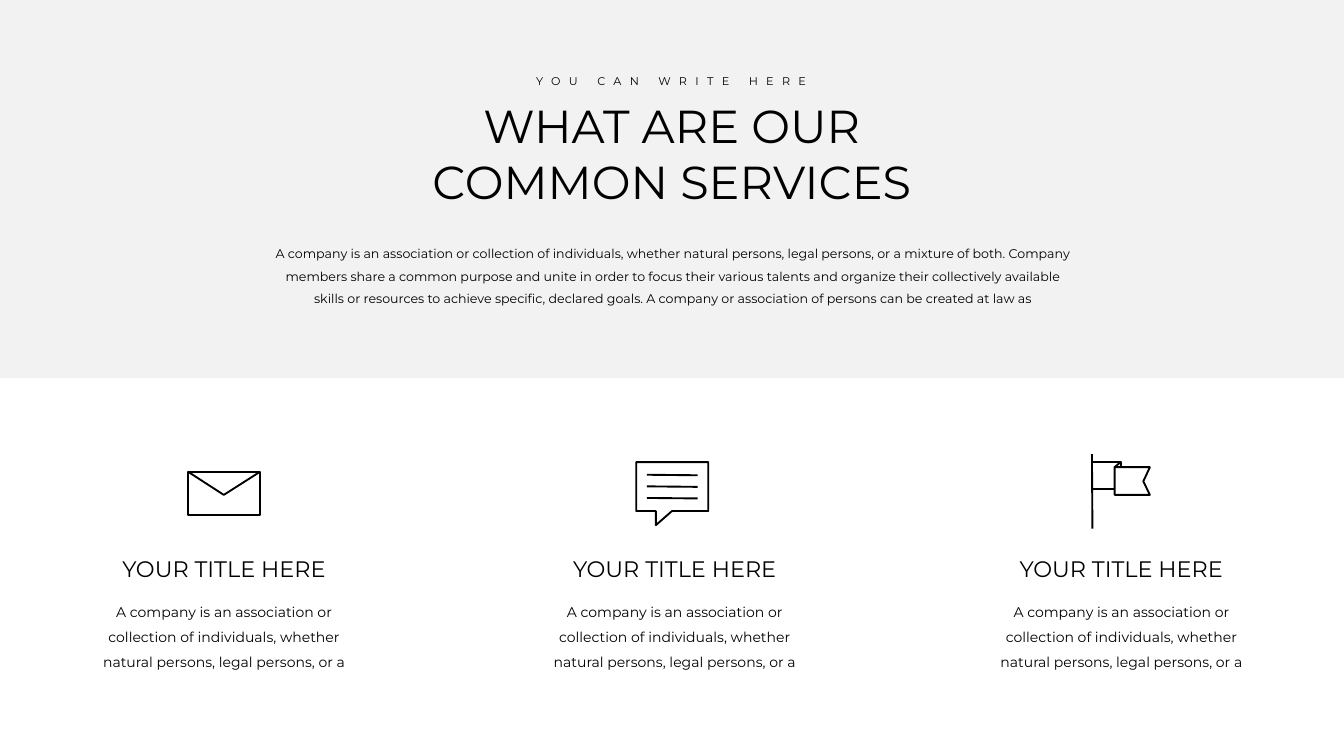
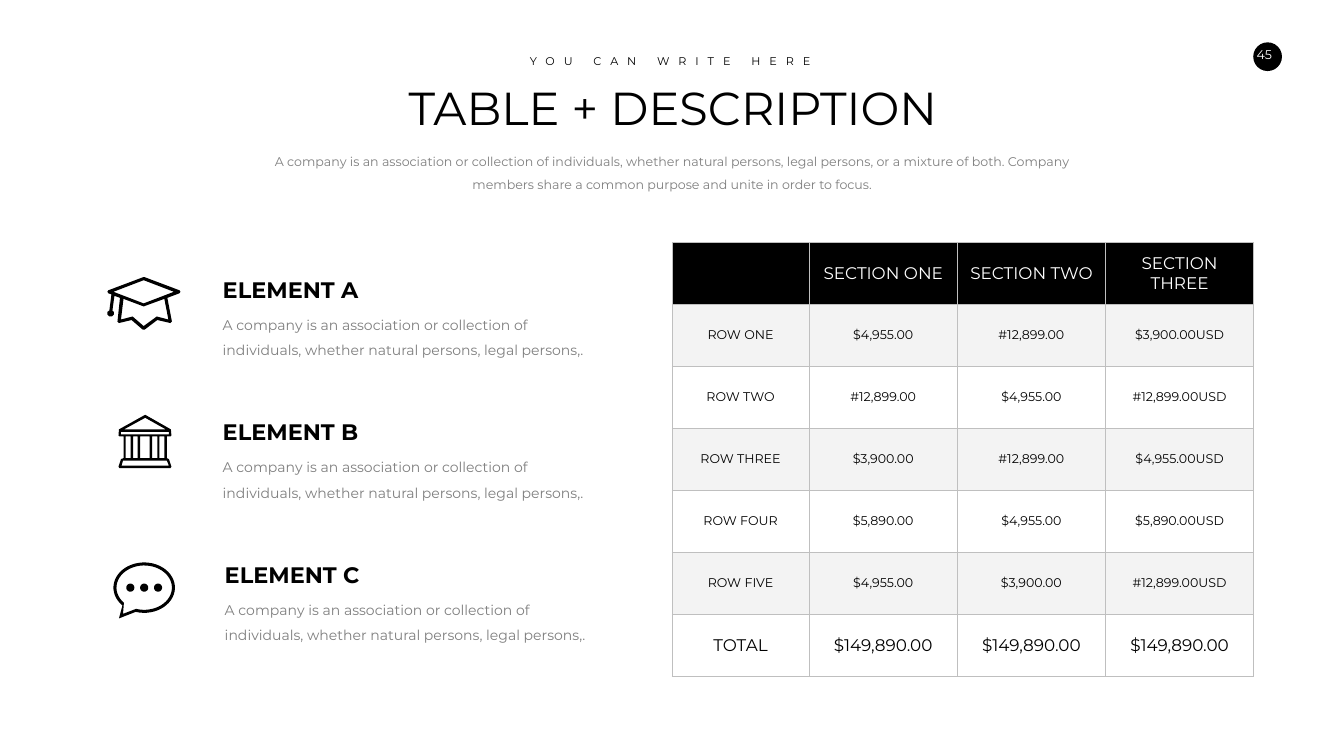
from dataclasses import dataclass
from math import cos, radians, sin
from typing import NamedTuple

from lxml import etree
from pptx import Presentation
from pptx.dml.color import RGBColor
from pptx.enum.shapes import MSO_CONNECTOR, MSO_SHAPE
from pptx.enum.text import MSO_ANCHOR, MSO_AUTO_SIZE, PP_ALIGN
from pptx.oxml.ns import qn
from pptx.util import Cm, Pt

LEFT, MID = PP_ALIGN.LEFT, PP_ALIGN.CENTER
TOP, CENTRE = MSO_ANCHOR.TOP, MSO_ANCHOR.MIDDLE
NO_FIT = MSO_AUTO_SIZE.NONE
RECT, OVAL = MSO_SHAPE.RECTANGLE, MSO_SHAPE.OVAL
STRAIGHT = MSO_CONNECTOR.STRAIGHT

BLACK, WHITE, PALE, BAND = "000000", "FFFFFF", "F3F3F3", "F2F2F2"
GREY, RULE = "7F7F7F", "BFBFBF"
STROKE = Pt(2.7)
Points = list[tuple[float, float]]


class Box(NamedTuple):
    left: float
    top: float
    width: float
    height: float


@dataclass(frozen=True)
class Style:
    points: float
    colour: str = BLACK
    align: PP_ALIGN = MID
    lead: float = 1.0
    bold: bool = False
    track: int = 0  # hundredths of a point


@dataclass(frozen=True)
class Head:
    """Kicker, title and intro at the top of a slide."""
    kick_box: Box
    track: int
    title_box: Box
    title: str
    intro_box: Box
    intro: str
    colour: str
    fill: str | None = None


HEADING = Style(66)
LABEL = Style(32)
NAME = Style(32, align=LEFT, bold=True)
COPY = Style(20, lead=1.5)
NOTE = Style(20, GREY, LEFT, 1.5)
KICKER = "YOU CAN WRITE HERE"
STEM = "A company is an association or collection of individuals, whether natural persons, legal persons,"
MIXED = STEM + " or a mixture of both. Company members share a common purpose and unite in order to focus"


# Basics
def size(inches: float) -> Cm:
    return Cm(inches * 2.54)


def place(box: Box) -> list[Cm]:
    return [size(part) for part in box]


def rgb(code: str) -> RGBColor:
    return RGBColor.from_string(code)


def paint(item, code: str) -> None:
    item.fill.solid()
    item.fill.fore_color.rgb = rgb(code)


def apply(target, values: dict) -> None:
    for key, value in values.items():
        setattr(target, key, value)


def write(frame, text: str, style: Style) -> None:
    """Fill a text frame, one paragraph for each line."""
    for index, line in enumerate(text.split("\n")):
        para = frame.add_paragraph() if index else frame.paragraphs[0]
        apply(para, {"alignment": style.align, "line_spacing": style.lead,
                     "space_before": Pt(0)})
        props = para._p.get_or_add_pPr()
        props.set("marL", "0")
        props.set("indent", "0")
        etree.SubElement(props, qn("a:buNone"))
        run = para.add_run()
        run.text = line
        apply(run.font, {"name": "Montserrat", "size": Pt(style.points), "bold": style.bold})
        run.font.color.rgb = rgb(style.colour)
        if style.track:
            run._r.get_or_add_rPr().set("spc", str(style.track))


def set_text(shape, box: Box, text: str, style: Style, fill: str | None = None) -> None:
    apply(shape, dict(zip(("left", "top", "width", "height"), place(box))))
    apply(shape.text_frame, {
        "word_wrap": True, "auto_size": NO_FIT, "vertical_anchor": TOP,
        "margin_left": size(.1), "margin_right": size(.1),
        "margin_top": size(.05), "margin_bottom": size(.05)})
    if fill:
        paint(shape, fill)
    write(shape.text_frame, text, style)


def add_text(slide, box: Box, text: str, style: Style, fill: str | None = None) -> None:
    set_text(slide.shapes.add_textbox(*place(box)), box, text, style, fill)


def add_solid(slide, kind: MSO_SHAPE, box: Box, code: str):
    shape = slide.shapes.add_shape(kind, *place(box))
    shape.shadow.inherit = False
    paint(shape, code)
    shape.line.fill.background()
    return shape


def add_head(slide, head: Head) -> None:
    title, intro = slide.placeholders
    set_text(title, head.title_box, head.title, HEADING, head.fill)
    set_text(intro, head.intro_box, head.intro, Style(18, head.colour, lead=1.5), head.fill)
    add_text(slide, head.kick_box, KICKER, Style(16, track=head.track), head.fill)


# Icons
def add_path(slide, loops: list[Points], closed: bool):
    first = loops[0][0]
    pen = slide.shapes.build_freeform(size(first[0]), size(first[1]))
    for loop in loops:
        spots = [(size(x), size(y)) for x, y in loop]
        pen.move_to(*spots[0])
        pen.add_line_segments(spots[1:], close=closed)
    shape = pen.convert_to_shape()
    shape.shadow.inherit = False
    return shape


def add_outline(slide, points: Points) -> None:
    shape = add_path(slide, [points], points[0] == points[-1])
    shape.fill.background()
    shape.line.color.rgb = rgb(BLACK)
    shape.line.width = STROKE


def add_icon(slide, loops: list[Points]) -> None:
    shape = add_path(slide, loops, True)
    paint(shape, BLACK)
    shape.line.fill.background()


def add_line(slide, x: float, y: float, end_x: float, end_y: float) -> None:
    line = slide.shapes.add_connector(STRAIGHT, size(x), size(y), size(end_x), size(end_y))
    line.line.color.rgb = rgb(BLACK)
    line.line.width = STROKE
    etree.SubElement(line._element.spPr, qn("a:effectLst"))


def frame(left: float, top: float, right: float, low: float) -> Points:
    return [(left, top), (right, top), (right, low), (left, low)]


def arc(x: float, y: float, wide: float, high: float, start: int = 0, stop: int = 360) -> Points:
    turns = [radians(start + (stop - start) * step / 48) for step in range(49)]
    return [(x + wide * cos(turn), y + high * sin(turn)) for turn in turns]


def cap_loops() -> list[Points]:
    edge = [(3.58, 5.79), (3.56, 5.76), (2.87, 5.5), (2.84, 5.5), (2.15, 5.76), (2.13, 5.79),
            (2.15, 5.82), (2.21, 5.84), (2.17, 6.16), (2.13, 6.19), (2.13, 6.24), (2.17, 6.28),
            (2.22, 6.28), (2.26, 6.24), (2.26, 6.19), (2.23, 6.16), (2.27, 5.87), (2.38, 5.91),
            (2.33, 6.38), (2.36, 6.41), (2.61, 6.35), (2.83, 6.54), (2.87, 6.54), (3.12, 6.35),
            (3.38, 6.41), (3.41, 6.38), (3.32, 5.91), (3.56, 5.82)]
    board = [(2.85, 6.02), (2.25, 5.79), (2.85, 5.56), (3.45, 5.79)]
    brim = [(3.34, 6.34), (3.11, 6.28), (2.85, 6.47), (2.63, 6.28), (2.4, 6.34),
            (2.45, 5.93), (2.85, 6.08), (3.26, 5.93)]
    return [edge, board, brim]


def bank_loops() -> list[Points]:
    edge = [(2.88, 8.23), (3.39, 8.52), (3.4, 8.64), (3.38, 8.66), (3.31, 8.66), (3.31, 9.09),
            (3.35, 9.11), (3.4, 9.26), (3.38, 9.29), (2.37, 9.29), (2.35, 9.26), (2.4, 9.11),
            (2.45, 9.09), (2.45, 8.66), (2.37, 8.66), (2.35, 8.64), (2.36, 8.52)]
    gaps = [(2.49, 2.59), (2.64, 2.73), (2.78, 2.97), (3.02, 3.12), (3.16, 3.26)]
    return [edge, frame(2.4, 8.57, 3.35, 8.62), [(2.88, 8.29), (3.29, 8.52), (2.46, 8.52)],
            [(3.31, 9.14), (3.35, 9.24), (2.41, 9.24), (2.44, 9.14)],
            *[frame(left, 8.66, right, 9.09) for left, right in gaps]]


def chat_loops() -> list[Points]:
    x, y = 2.86, 11.66
    rings = [arc(x, y, .61, .5, 135, 466) + [(2.36, 12.27)],
             arc(x, y, .55, .44, 137, 467) + [(2.44, 12.18)]]
    return rings + [arc(x + step * .275, y, .08, .08) for step in (-1, 0, 1)]


# Table
GRID = [
    ["", "SECTION ONE", "SECTION TWO", "SECTION THREE"],
    ["ROW ONE", "$4,955.00", "#12,899.00", "$3,900.00USD"],
    ["ROW TWO", "#12,899.00", "$4,955.00", "#12,899.00USD"],
    ["ROW THREE", "$3,900.00", "#12,899.00", "$4,955.00USD"],
    ["ROW FOUR", "$5,890.00", "$4,955.00", "$5,890.00USD"],
    ["ROW FIVE", "$4,955.00", "$3,900.00", "#12,899.00USD"],
    ["TOTAL"] + ["$149,890.00"] * 3,
]


def add_rules(cell) -> None:
    props = cell._tc.get_or_add_tcPr()
    for side in ("lnL", "lnR", "lnT", "lnB"):
        line = etree.SubElement(props, qn("a:" + side), w=str(Pt(.75)))
        fill = etree.SubElement(line, qn("a:solidFill"))
        etree.SubElement(fill, qn("a:srgbClr"), val=RULE)


def add_grid(slide) -> None:
    widths, high, last = [2.72, 2.94, 2.94, 2.94], 1.23, len(GRID) - 1
    box = Box(13.33, 4.81, sum(widths), high * len(GRID))
    table = slide.shapes.add_table(len(GRID), len(widths), *place(box)).table
    apply(table, {"first_row": False, "horz_banding": False})
    for column, width in zip(table.columns, widths):
        column.width = size(width)
    for index, texts in enumerate(GRID):
        table.rows[index].height = size(high)
        fill = BLACK if index == 0 else PALE if index % 2 else WHITE
        style = Style(24 if index in (0, last) else 18, BLACK if index else WHITE)
        for cell, text in zip(table.rows[index].cells, texts):
            add_rules(cell)
            paint(cell, fill)
            cell.vertical_anchor = CENTRE
            if text:
                write(cell.text_frame, text, style)


# Slides
def build_services(slide) -> None:
    band = add_solid(slide, RECT, Box(0, 0, 26.66, 7.5), BAND)
    slide.shapes._spTree.insert(2, band._element)
    add_head(slide, Head(
        Box(10.35, 1.42, 5.93, .37), 1190,
        Box(7.88, 1.89, 10.89, 2.32), "WHAT ARE OUR\nCOMMON SERVICES",
        Box(5.28, 4.68, 16.14, 1.4),
        MIXED + " their various talents and organize their collectively available skills or "
        "resources to achieve specific, declared goals. A company or association of persons "
        "can be created at law as", BLACK, BAND))
    # Envelope
    add_outline(slide, [(5.16, 10.22), (3.73, 10.22), (3.73, 9.36), (5.16, 9.36), (5.16, 10.22)])
    add_outline(slide, [(3.73, 9.36), (4.44, 9.82), (5.16, 9.36)])
    # Message
    for row in range(3):
        y = 9.42 + row * .23
        add_line(slide, 12.83, y, 13.84, y + .01)
    add_outline(slide, [(13.33, 10.14), (14.05, 10.14), (14.05, 9.17), (12.62, 9.17),
                        (12.62, 10.14), (13.01, 10.14), (13.01, 10.42), (13.33, 10.14)])
    # Flag
    add_line(slide, 21.66, 9.01, 21.67, 10.49)
    add_outline(slide, [(22.24, 9.16), (22.11, 9.27), (22.11, 9.82), (22.81, 9.82),
                        (22.68, 9.55), (22.81, 9.27), (22.11, 9.27)])
    add_outline(slide, [(22.11, 9.7), (21.66, 9.7), (21.66, 9.16), (22.24, 9.16), (22.24, 9.27)])
    for left in (1.71, 10.65, 19.51):
        add_text(slide, Box(left + .11, 11.76, 5.25, 1.62), STEM + " or a", COPY)
        add_text(slide, Box(left, 10.96, 5.47, .64), "YOUR TITLE HERE", LABEL)


def build_table(slide) -> None:
    add_solid(slide, OVAL, Box(24.86, .84, .57, .57), BLACK)
    add_text(slide, Box(24.65, .89, .86, .4), "45", Style(18, WHITE))
    add_grid(slide)
    add_head(slide, Head(
        Box(9.87, 1.02, 6.85, .37), 1280,
        Box(7.28, 1.52, 12.13, 1.21), "TABLE + DESCRIPTION",
        Box(5.32, 2.86, 16.03, 1.01), MIXED + ".", GREY))
    parts = [("A", 4.32, cap_loops()), ("B", 4.32, bank_loops()), ("C", 4.36, chat_loops())]
    for index, (mark, left, loops) in enumerate(parts):
        top = 5.42 + index * 2.83
        add_icon(slide, loops)
        add_text(slide, Box(left, top + .64, 7.46, 1.11), STEM + ".", NOTE)
        add_text(slide, Box(left, top, 5.73, .64), "ELEMENT " + mark, NAME)


def main() -> None:
    deck = Presentation()
    apply(deck, {"slide_width": size(26.66), "slide_height": size(15)})
    for build in (build_services, build_table):
        build(deck.slides.add_slide(deck.slide_layouts[1]))
    deck.save("out.pptx")


if __name__ == "__main__":
    main()
